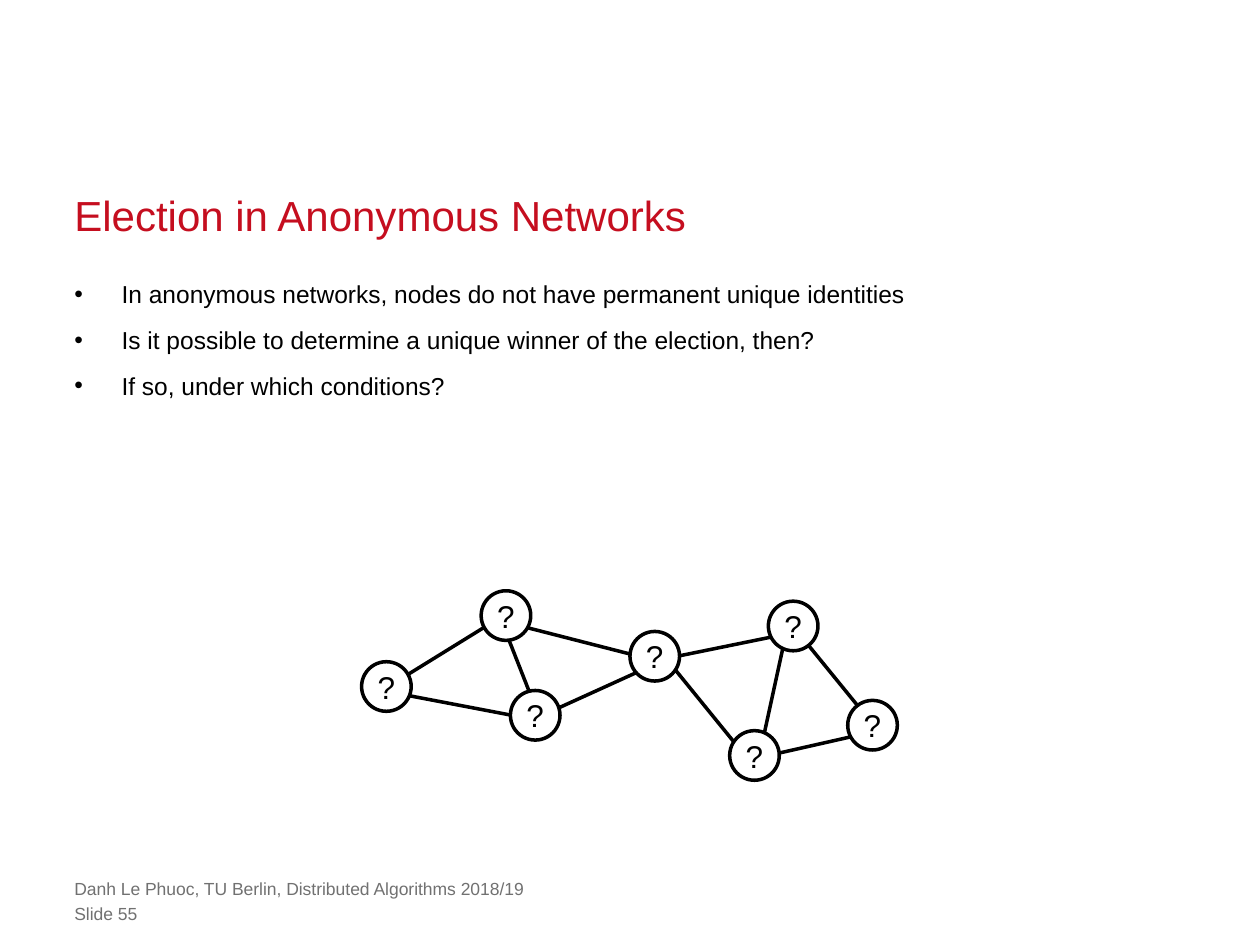
from lxml import etree
from pptx import Presentation
from pptx import util as u
from pptx.dml.color import RGBColor
from pptx.enum import shapes, text
from pptx.oxml.ns import qn

COLORS = {"title": "C50E1F", "ink": "000000", "footer": "717171", "node": "FFFFFF"}
LEFT, WIDTH, FOOTER_WIDTH = 1.5, 22.4, 18.39
NODE_SIZE = 1.0

BULLETS = [
    "In anonymous networks, nodes do not have permanent unique identities",
    "Is it possible to determine a unique winner of the election, then?",
    "If so, under which conditions?",
]
FOOTER = [
    (17.7, "Danh Le Phuoc, TU Berlin, Distributed Algorithms 2018/19"),
    (18.21, "Slide 55"),
]
# Left and top of each node, in cm
NODES = [(9.7, 11.91), (12.7, 12.73), (10.29, 13.92), (14.71, 14.73),
         (7.29, 13.34), (15.49, 12.12), (17.09, 14.12)]
# Both ends of each edge, in cm; the nodes cover the ends
EDGES = [
    (7.7, 13.92, 10.29, 12.32),
    (10.11, 12.52, 10.9, 14.53),
    (7.7, 13.92, 10.9, 14.53),
    (10.11, 12.52, 13.31, 13.34),
    (10.69, 14.53, 13.31, 13.34),
    (13.11, 13.34, 16.1, 12.73),
    (15.9, 12.52, 15.29, 15.32),
    (13.31, 13.13, 15.09, 15.32),
    (15.09, 15.32, 17.7, 14.73),
    (15.9, 12.52, 17.7, 14.73),
]


class SlideBuilder:
    """Holds the style and the current slide."""

    font = "Arial"
    line_width = u.Pt(2)

    def __init__(self, slide):
        self.slide = slide

    def color(self, name):
        return RGBColor.from_string(COLORS[name])

    def place(self, sp, left, top, width, height):
        sp.left, sp.top = u.Cm(left), u.Cm(top)
        sp.width, sp.height = u.Cm(width), u.Cm(height)

    def frame(self, sp, anchor, wrap=True):
        """Set a text frame without margins or autofit."""
        tf = sp.text_frame
        tf.margin_left = tf.margin_right = tf.margin_top = tf.margin_bottom = 0
        tf.auto_size = text.MSO_AUTO_SIZE.NONE
        tf.vertical_anchor = anchor
        tf.word_wrap = wrap
        return tf

    def format(self, p, size, color, align=text.PP_ALIGN.LEFT):
        p.alignment = align
        for r in p.runs:
            r.font.name = self.font
            r.font.size = u.Pt(size)
            r.font.color.rgb = self.color(color)

    def outline(self, line):
        line.color.rgb = self.color("ink")
        line.width = self.line_width

    def title(self, words):
        sp = self.slide.shapes.title
        self.place(sp, LEFT, 3.76, WIDTH, 1.07)
        tf = self.frame(sp, text.MSO_ANCHOR.BOTTOM)
        tf.text = words
        p = tf.paragraphs[0]
        p.line_spacing = u.Pt(30)
        self.format(p, 24, "title")

    def bullets(self, items):
        sp = self.slide.placeholders[1]
        self.place(sp, LEFT, 5.33, WIDTH, 11.3)
        tf = self.frame(sp, text.MSO_ANCHOR.TOP)
        tf.text = "\n".join(items)
        for p in tf.paragraphs:
            p.line_spacing = 1.5
            p.space_before = u.Pt(1)
            self.format(p, 14, "ink")
            pPr = p._p.get_or_add_pPr()
            indent = u.Cm(0.95)
            pPr.set("marL", str(indent))
            pPr.set("indent", str(-indent))
            etree.SubElement(pPr, qn("a:buChar")).set("char", "•")

    def footer(self, top, words):
        sp = self.slide.shapes.add_textbox(0, 0, 0, 0)
        self.place(sp, LEFT, top, FOOTER_WIDTH, 0.43)
        tf = self.frame(sp, text.MSO_ANCHOR.TOP)
        tf.text = words
        self.format(tf.paragraphs[0], 10, "footer")

    def edge(self, *ends):
        cxn = self.slide.shapes.add_connector(
            shapes.MSO_CONNECTOR.STRAIGHT, *map(u.Cm, ends))
        self.outline(cxn.line)
        etree.SubElement(cxn._element.spPr, qn("a:effectLst"))

    def node(self, left, top, label="?"):
        size = u.Cm(NODE_SIZE)
        sp = self.slide.shapes.add_shape(
            shapes.MSO_SHAPE.OVAL, u.Cm(left), u.Cm(top), size, size)
        sp.shadow.inherit = False
        sp.fill.solid()
        sp.fill.fore_color.rgb = self.color("node")
        self.outline(sp.line)
        tf = self.frame(sp, text.MSO_ANCHOR.MIDDLE, wrap=False)
        tf.text = label
        self.format(tf.paragraphs[0], 18, "ink", text.PP_ALIGN.CENTER)


def main():
    prs = Presentation()
    prs.slide_width, prs.slide_height = u.Cm(25.4), u.Cm(19.05)
    s = SlideBuilder(prs.slides.add_slide(prs.slide_layouts[1]))
    s.title("Election in Anonymous Networks")
    s.bullets(BULLETS)
    for ends in EDGES:
        s.edge(*ends)
    for corner in NODES:
        s.node(*corner)
    for top, words in FOOTER:
        s.footer(top, words)
    prs.save("out.pptx")


if __name__ == "__main__":
    main()
